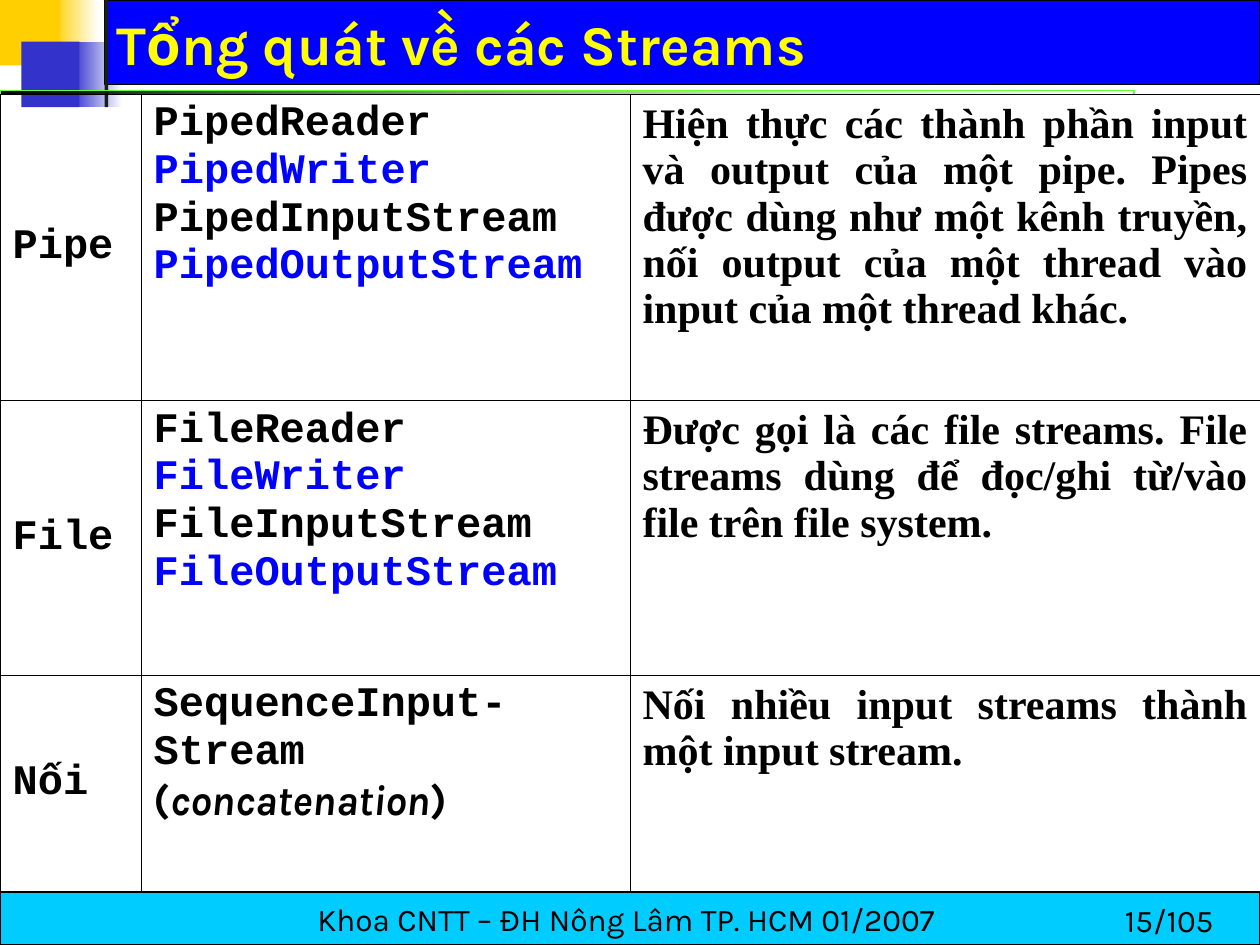
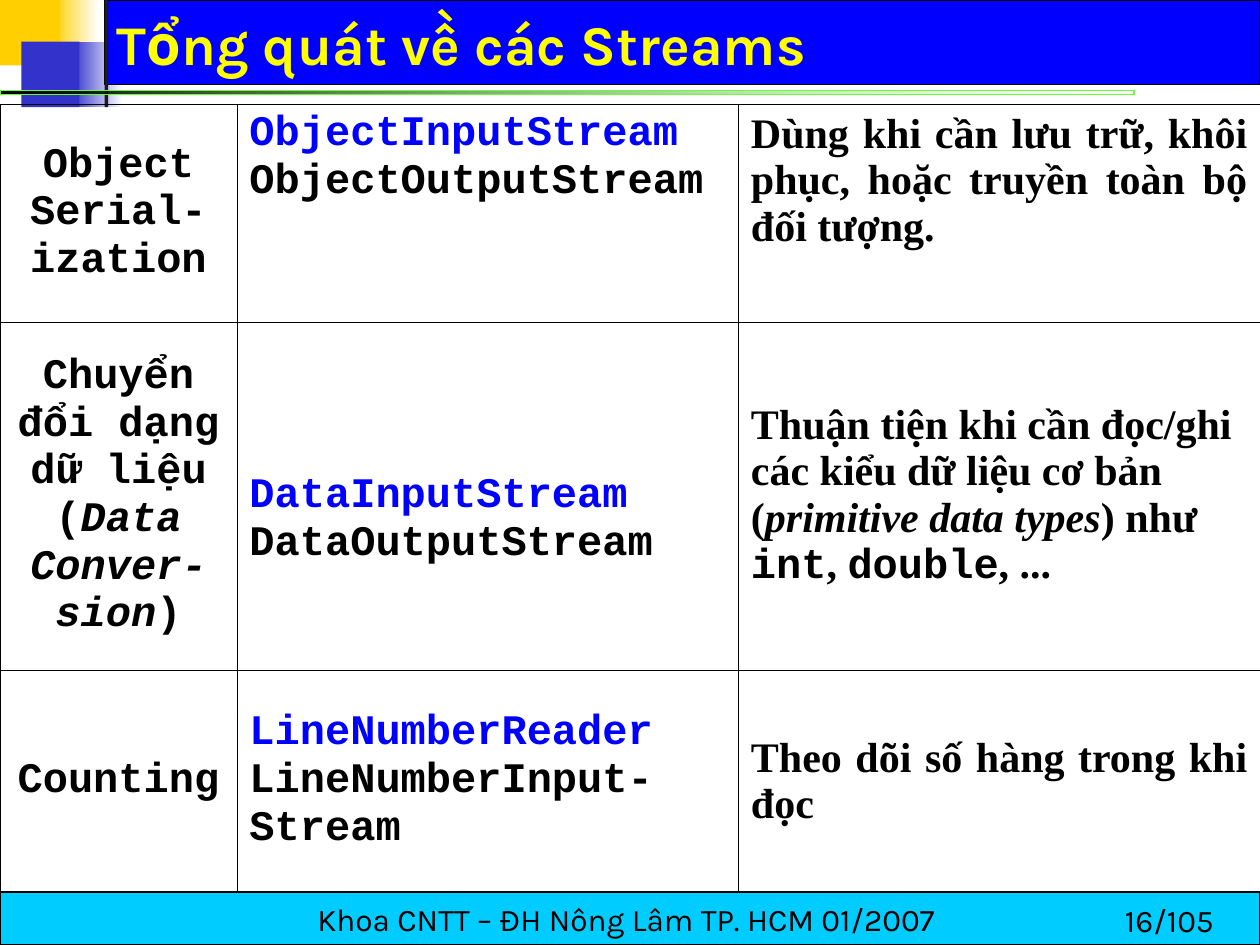
"""Build two slides that survey the Java stream classes in tables."""
import dataclasses

import lxml.etree
import pptx
import pptx.dml.color
import pptx.enum.shapes
import pptx.enum.text
import pptx.oxml.ns
import pptx.util

Inches = pptx.util.Inches
Pt = pptx.util.Pt
Align = pptx.enum.text.PP_ALIGN
Anchor = pptx.enum.text.MSO_ANCHOR
qn = pptx.oxml.ns.qn


@dataclasses.dataclass(frozen=True)
class Theme:
    black: str = "000000"
    white: str = "FFFFFF"
    blue: str = "0000FF"
    yellow: str = "FFFF00"
    gold: str = "FFCF01"
    indigo: str = "3333CC"
    charcoal: str = "1C1C1C"
    green: str = "66FF33"
    cyan: str = "00CCFF"
    sans: str = "Karla"
    mono: str = "Courier New"
    serif: str = "Times New Roman"
    title_size: int = 32
    table_size: int = 24
    footer_size: int = 18
    outline: float = 0.75
    border: float = 0.45


theme = Theme()
rgb = pptx.dml.color.RGBColor.from_string

STYLES = {
    "title": (theme.sans, theme.title_size, theme.yellow, True, False),
    "footer": (theme.sans, theme.footer_size, theme.black, False, False),
    "code": (theme.mono, theme.table_size, theme.black, True, False),
    "code blue": (theme.mono, theme.table_size, theme.blue, True, False),
    "code italic": (theme.mono, theme.table_size, theme.black, True, True),
    "prose": (theme.serif, theme.table_size, theme.black, True, False),
    "prose italic": (theme.serif, theme.table_size, theme.black, True, True),
    "label": (theme.sans, theme.table_size, theme.black, True, False),
    "label italic": (theme.sans, theme.table_size, theme.black, True, True),
}


def add_text(frame, paragraphs, align=Align.LEFT):
    for index, runs in enumerate(paragraphs):
        paragraph = frame.add_paragraph() if index else frame.paragraphs[0]
        paragraph.alignment = align
        for text, style in runs:
            font, size, color, bold, italic = STYLES[style]
            for line_index, line in enumerate(text.split("\n")):
                if line_index:
                    paragraph.add_line_break()
                if not line:
                    continue
                run = paragraph.add_run()
                run.text = line
                run.font.name = font
                run.font.size = Pt(size)
                run.font.color.rgb = rgb(color)
                run.font.bold = bold
                run.font.italic = italic


def add_box(slide, place, fill, line=None, width=theme.outline):
    shape = slide.shapes.add_shape(
        pptx.enum.shapes.MSO_SHAPE.RECTANGLE, *map(Inches, place))
    shape.shadow.inherit = False
    if isinstance(fill, tuple):
        shape.fill.gradient()
        shape.fill.gradient_angle = 180
        for stop, color in zip(shape.fill.gradient_stops, fill):
            stop.color.rgb = rgb(color)
    else:
        shape.fill.solid()
        shape.fill.fore_color.rgb = rgb(fill)
    if line:
        shape.line.color.rgb = rgb(line)
        shape.line.width = Pt(width)
    else:
        shape.line.fill.background()
    return shape


TITLE = "Tổng quát về các Streams"
FOOTER = "Khoa CNTT – ĐH Nông Lâm TP. HCM 01/2007 "
TABLE_BOTTOM = 7.08
EMPTY_LINE = 0.38

SLIDES = [
    {
        "page": "15/105",
        "columns": [1.12, 3.88, 5],
        "rows": [2.43, 2.18, 1.72],
        "topic_align": Align.LEFT,
        "middle_rows": [],
        "left_prose_rows": [],
        "lowered_rows": [],
        "cells": [
            [
                [[("Pipe", "code")]],
                [[("PipedReader\n", "code"), ("PipedWriter", "code blue")],
                 [("PipedInputStream\n", "code"), ("PipedOutputStream", "code blue")]],
                [[("Hiện thực các thành phần input và output của một pipe. "
                   "Pipes được dùng như một kênh truyền, nối output của một "
                   "thread vào input của một thread khác.", "prose")]],
            ],
            [
                [[("File", "code")]],
                [[("FileReader\n", "code"), ("FileWriter", "code blue")],
                 [("FileInputStream\n", "code"), ("FileOutputStream", "code blue")]],
                [[("Được gọi là các file streams. File streams dùng để "
                   "đọc/ghi từ/vào file trên file system.", "prose")]],
            ],
            [
                [[("Nối", "code")]],
                [[("SequenceInput-\nStream", "code")],
                 [("(", "label"), ("concatenation", "label italic"), (")", "label")]],
                [[("Nối nhiều input streams thành một input stream.", "prose")]],
            ],
        ],
    },
    {
        "page": "16/105",
        "columns": [1.88, 3.98, 4.14],
        "rows": [1.73, 2.76, 1.76],
        "topic_align": Align.CENTER,
        "middle_rows": [1, 2],
        "left_prose_rows": [1],
        "lowered_rows": [1],
        "cells": [
            [
                [[("Object\nSerial-\nization", "code")]],
                [[("ObjectInputStream\n", "code blue"), ("ObjectOutputStream", "code")]],
                [[("Dùng khi cần lưu trữ, khôi phục, hoặc truyền toàn bộ "
                   "đối tượng.", "prose")]],
            ],
            [
                [[("Chuyển đổi dạng dữ liệu (", "code"),
                  ("Data Conver-sion", "code italic"), (")", "code")]],
                [[("DataInputStream\n", "code blue"), ("DataOutputStream", "code")]],
                [[("Thuận tiện khi cần đọc/ghi các kiểu dữ liệu cơ bản (", "prose"),
                  ("primitive data types", "prose italic"), (") như ", "prose"),
                  ("int", "code"), (", ", "prose"), ("double", "code"),
                  (", ...", "prose")]],
            ],
            [
                [[("Counting", "code")]],
                [[("LineNumberReader ", "code blue"), ("LineNumberInput-\nStream", "code")]],
                [[("Theo dõi số hàng trong khi đọc", "prose")]],
            ],
        ],
    },
]

presentation = pptx.Presentation()
presentation.slide_width = Inches(10)
presentation.slide_height = Inches(7.5)

for content in SLIDES:
    slide = presentation.slides.add_slide(presentation.slide_layouts[6])
    slide.background.fill.solid()
    slide.background.fill.fore_color.rgb = rgb(theme.white)

    add_box(slide, (0.42, 0, 0.36, 0.52), (theme.white, theme.gold))
    add_box(slide, (0.57, 0.33, 0.4, 0.52), (theme.white, theme.indigo))
    add_box(slide, (0.83, 0, 9.17, 0.67), theme.blue, theme.black)
    add_box(slide, (0, 0, 0.48, 0.52), theme.gold)
    add_box(slide, (0.17, 0.33, 0.46, 0.52), theme.indigo)
    add_box(slide, (0.83, 0, 0.03, 0.85), theme.charcoal)
    rule = add_box(slide, (0, 0.72, 9, 0.03), (theme.green, theme.black), theme.green, 0)
    clear_stop = rule._element.xpath(".//a:gs//a:srgbClr")[0]
    lxml.etree.SubElement(clear_stop, qn("a:alpha"), val="0")

    footer = add_box(slide, (0, TABLE_BOTTOM, 10, 0.42), theme.cyan, theme.black)
    footer.text_frame.word_wrap = False
    footer.text_frame.vertical_anchor = Anchor.MIDDLE
    add_text(footer.text_frame, [[(FOOTER, "footer")]], Align.CENTER)

    page = slide.shapes.add_textbox(Inches(8.83), Inches(7.1), Inches(1.17), Inches(0.4))
    page.text_frame.word_wrap = True
    add_text(page.text_frame, [[(content["page"], "footer")]])

    title = slide.shapes.add_textbox(Inches(0.83), Inches(0.08), Inches(8.94), Inches(0.58))
    title.text_frame.word_wrap = True
    title.text_frame.vertical_anchor = Anchor.BOTTOM
    add_text(title.text_frame, [[(TITLE, "title")]])

    height = sum(content["rows"])
    table = slide.shapes.add_table(
        len(content["rows"]), len(content["columns"]),
        Inches(0), Inches(TABLE_BOTTOM - height), Inches(10), Inches(height)).table
    table.first_row = False
    table.horz_banding = False
    for column, width in zip(table.columns, content["columns"]):
        column.width = Inches(width)
    for row, row_height in zip(table.rows, content["rows"]):
        row.height = Inches(row_height)

    for row_index, row_cells in enumerate(content["cells"]):
        for column_index, paragraphs in enumerate(row_cells):
            cell = table.cell(row_index, column_index)
            properties = cell._tc.get_or_add_tcPr()
            for side in ("a:lnL", "a:lnR", "a:lnT", "a:lnB"):
                border = lxml.etree.SubElement(
                    properties, qn(side), w=str(Pt(theme.border)))
                border_fill = lxml.etree.SubElement(border, qn("a:solidFill"))
                lxml.etree.SubElement(border_fill, qn("a:srgbClr"), val=theme.black)
            cell.fill.background()
            middle = column_index == 0 or row_index in content["middle_rows"]
            cell.vertical_anchor = Anchor.MIDDLE if middle else Anchor.TOP
            lowered = column_index == 1 and row_index in content["lowered_rows"]
            cell.margin_top = Inches(0.05 + EMPTY_LINE * lowered)
            justified = row_index not in content["left_prose_rows"]
            align = (content["topic_align"], Align.LEFT,
                     Align.JUSTIFY if justified else Align.LEFT)[column_index]
            add_text(cell.text_frame, paragraphs, align)

presentation.save("out.pptx")
